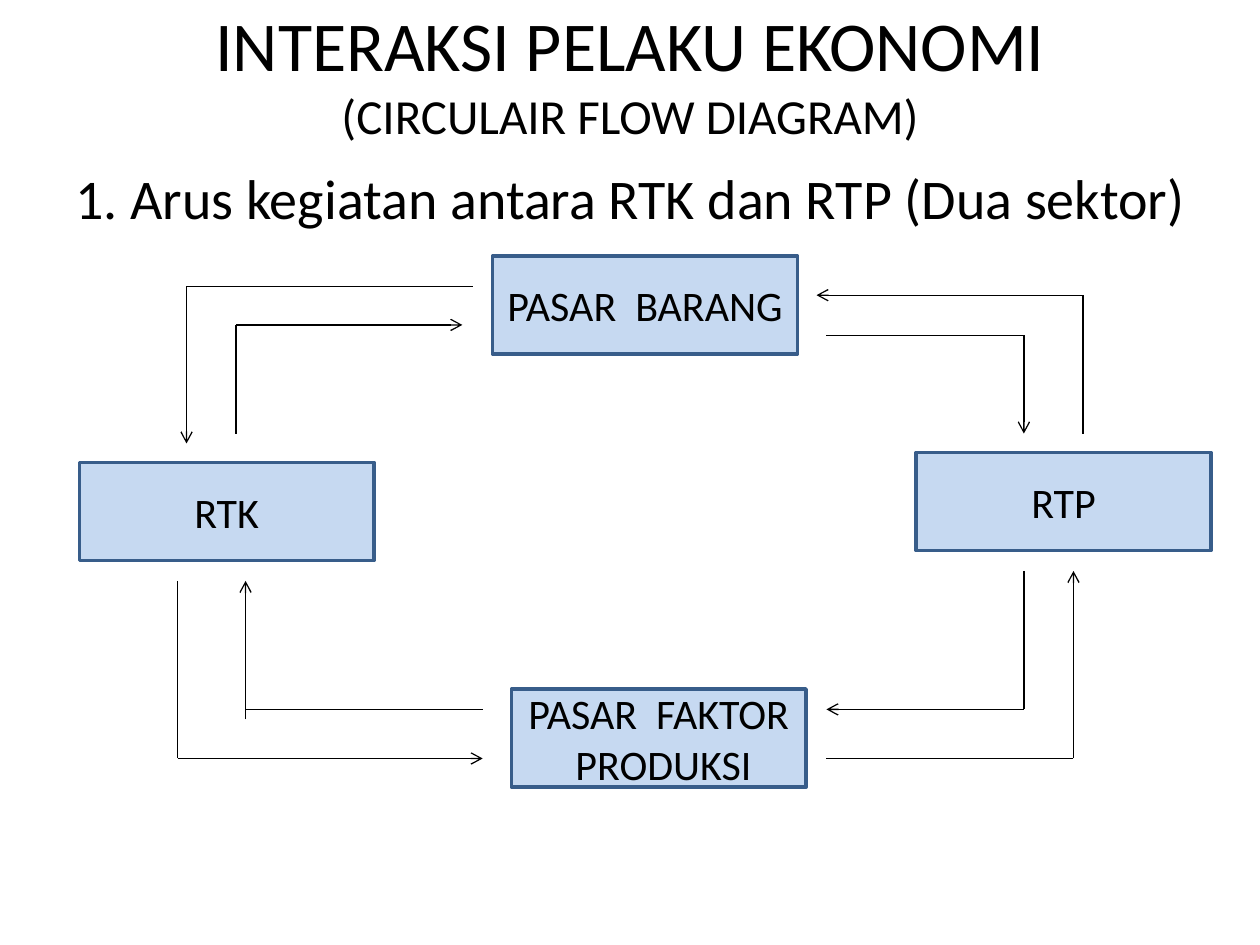
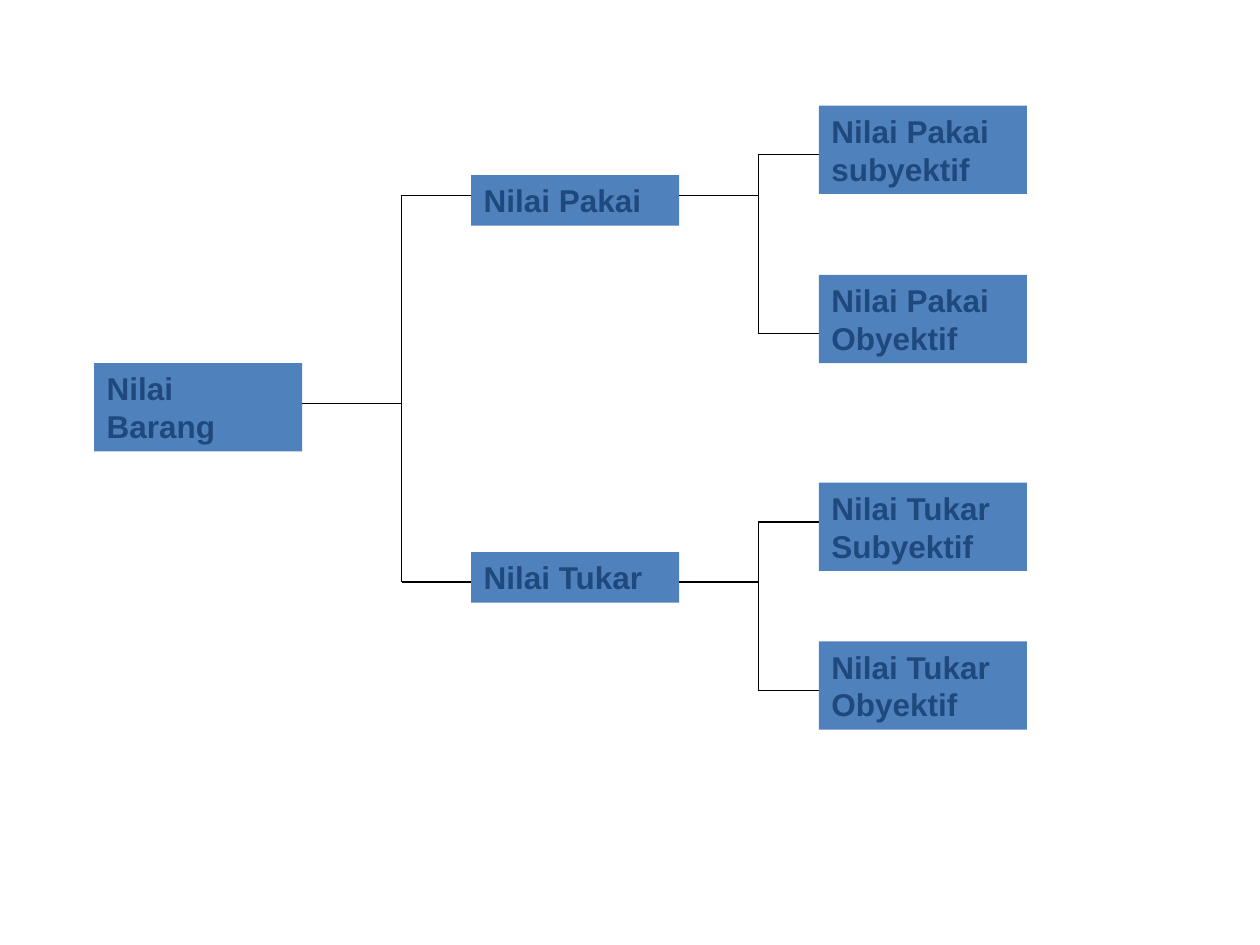
from lxml import etree
from pptx import Presentation
from pptx.dml.color import RGBColor
from pptx.enum import shapes, text
from pptx.oxml.ns import qn
from pptx.util import Cm, Pt

# Shared style
INK, PALE, EDGE, BLUE, NAVY = "000000", "C6D9F1", "385D8A", "4F81BD", "1F497D"
THIN = 0.75

# Slide 1: flow diagram, lengths in cm
TITLE = [("INTERAKSI PELAKU EKONOMI", 40), ("(CIRCULAIR FLOW DIAGRAM)", 28)]
TOPIC = [("1. Arus kegiatan antara RTK dan RTP (Dua sektor)", 32)]
SECTORS = [  # label, left, top, width
    ("PASAR  FAKTOR  PRODUKSI", 10.31, 13.89, 5.94),
    ("RTP", 18.47, 9.12, 5.94),
    ("RTK", 1.6, 9.32, 5.94),
    ("PASAR  BARANG", 9.93, 5.16, 6.15),
]
FLOWS = [  # start, corner, tip, overshoot at the corner, width of first leg
    ((9.53, 5.77), (3.76, 5.77), (3.76, 8.94), 0, THIN),
    ((4.76, 8.74), (4.76, 6.55), (9.32, 6.55), 0, THIN),
    ((21.83, 8.74), (21.83, 5.95), (16.46, 5.95), 0, THIN),
    ((16.66, 6.76), (20.64, 6.76), (20.64, 8.74), 0, THIN),
    ((3.58, 11.71), (3.58, 15.29), (9.73, 15.29), 0, 1),
    ((9.73, 14.3), (4.95, 14.3), (4.95, 11.71), 0.2, THIN),
    ((16.66, 15.29), (21.64, 15.29), (21.64, 11.51), 0, THIN),
    ((20.64, 11.51), (20.64, 14.3), (16.66, 14.3), 0, THIN),
]

# Slide 2: value tree; label, top, height, height of its line, branches
TREE = ("Nilai Barang", 7.32, 1.78, 8.13, [
    ("Nilai Pakai", 3.53, 1.02, 3.94, [
        ("Nilai Pakai subyektif", 2.13, 1.78, 3.12, []),
        ("Nilai Pakai Obyektif", 5.54, 1.78, 6.73, []),
    ]),
    ("Nilai Tukar", 11.13, 1.02, 11.73, [
        ("Nilai Tukar Subyektif", 9.73, 1.78, 10.52, []),
        ("Nilai Tukar Obyektif", 12.93, 1.78, 13.92, []),
    ]),
])
LEFTS, FORKS, NODE = (1.9, 9.5, 16.51), (8.1, 15.29), 4.19


def tint(code):
    return RGBColor.from_string(code)


def write(shape, lines, face="Calibri", color=INK, bold=False,
          align=text.PP_ALIGN.LEFT, anchor=text.MSO_ANCHOR.TOP):
    frame = shape.text_frame
    frame.word_wrap = True
    frame.vertical_anchor = anchor
    para = frame.paragraphs[0]
    para.alignment = align
    for i, (words, size) in enumerate(lines):
        if i:
            para.add_line_break()
        run = para.add_run()
        run.text = words
        font = run.font
        font.name, font.size, font.bold = face, Pt(size), bold
        font.color.rgb = tint(color)


def label(slide, box, lines, **style):
    write(slide.shapes.add_textbox(*map(Cm, box)), lines, **style)


def block(slide, box, fill, edge=None):
    shape = slide.shapes.add_shape(shapes.MSO_SHAPE.RECTANGLE, *map(Cm, box))
    shape.shadow.inherit = False
    shape.fill.solid()
    shape.fill.fore_color.rgb = tint(fill)
    if edge:
        shape.line.color.rgb = tint(edge)
        shape.line.width = Pt(2)
    else:
        shape.line.fill.background()
    return shape


def link(slide, start, end, width=THIN, arrow=False):
    line = slide.shapes.add_connector(
        shapes.MSO_CONNECTOR.STRAIGHT, *map(Cm, (*start, *end)))
    line.line.color.rgb = tint(INK)
    line.line.width = Pt(width)
    props = line._element.spPr
    if arrow:
        etree.SubElement(props.find(qn("a:ln")), qn("a:tailEnd"), type="arrow")
    etree.SubElement(props, qn("a:effectLst"))


def draw_flow(slide):
    mid = dict(align=text.PP_ALIGN.CENTER, anchor=text.MSO_ANCHOR.MIDDLE)
    label(slide, (1.27, 0.58, 22.86, 1.78), TITLE, **mid)
    label(slide, (1.27, 3.18, 23.34, 13.84), TOPIC)
    for name, left, top, width in SECTORS:
        shape = block(slide, (left, top, width, 1.98), PALE, EDGE)
        write(shape, [(name, 24)], **mid)
    for start, corner, tip, over, width in FLOWS:
        link(slide, start, corner, width)
        link(slide, (corner[0], corner[1] + over), tip, arrow=True)


def draw_node(slide, node, level=0):
    name, top, height, row, kids = node
    left = LEFTS[level]
    shape = block(slide, (left, top, NODE, height), BLUE)
    write(shape, [(name, 18)], face="Arial", color=NAVY, bold=True)
    if not kids:
        return
    # Stem, upright and one twig for each branch
    fork = FORKS[level]
    rows = [kid[3] for kid in kids]
    link(slide, (left + NODE, row), (fork, row))
    link(slide, (fork, rows[0]), (fork, rows[-1]))
    for kid in kids:
        link(slide, (fork, kid[3]), (LEFTS[level + 1], kid[3]))
        draw_node(slide, kid, level + 1)


def main():
    deck = Presentation()
    deck.slide_width, deck.slide_height = Cm(25.4), Cm(19.05)
    blank = deck.slide_layouts[6]
    draw_flow(deck.slides.add_slide(blank))
    draw_node(deck.slides.add_slide(blank), TREE)
    deck.save("out.pptx")


if __name__ == "__main__":
    main()
